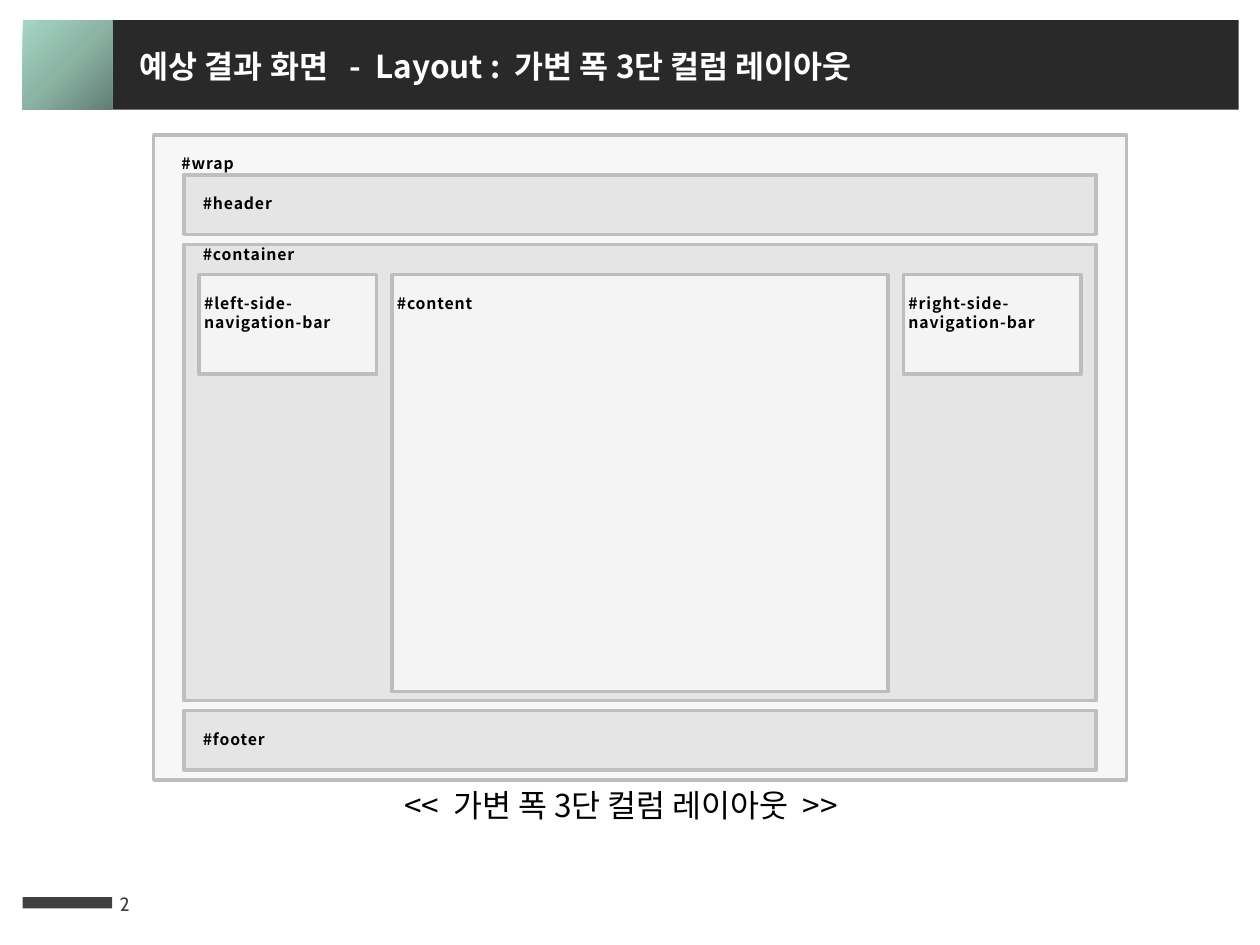
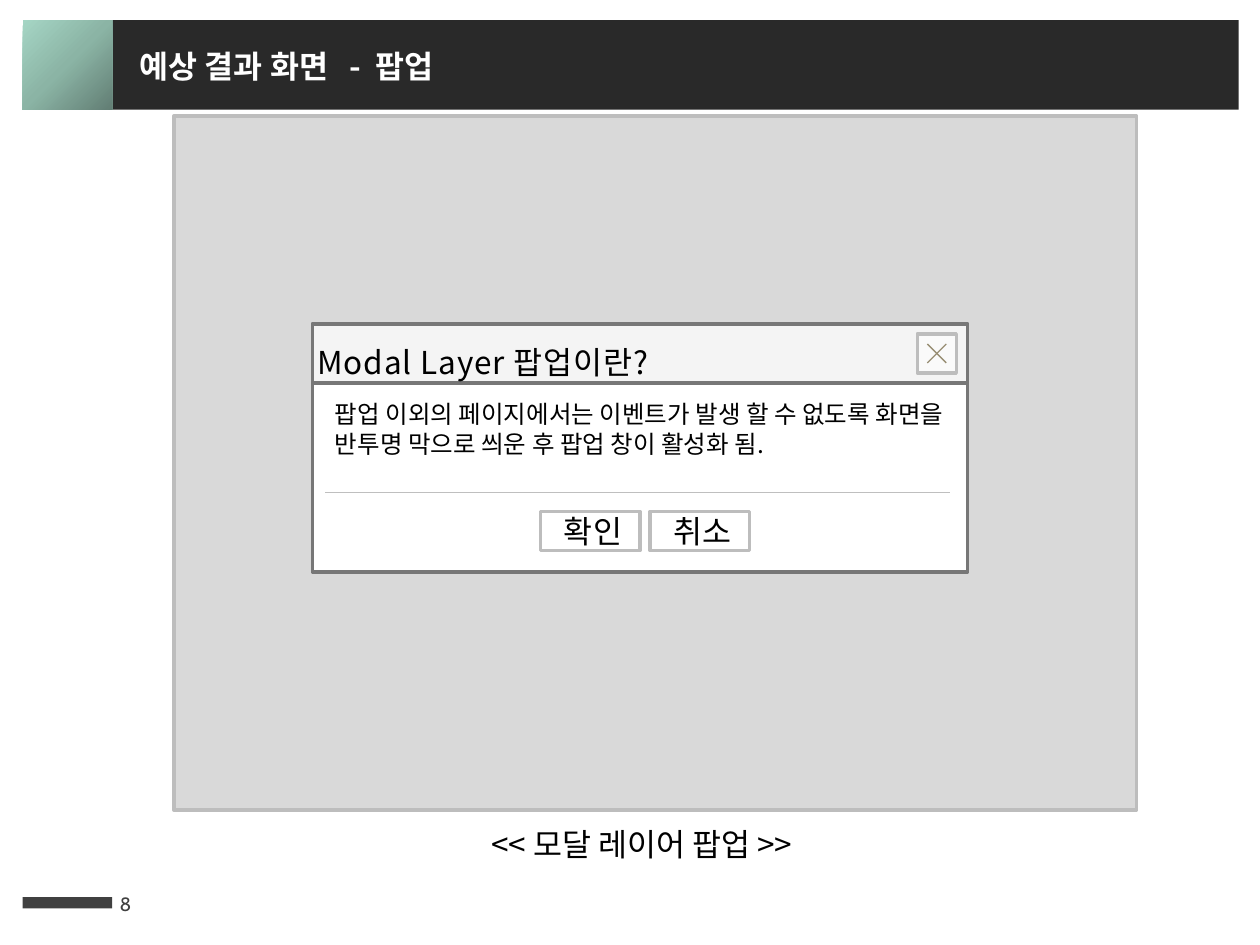
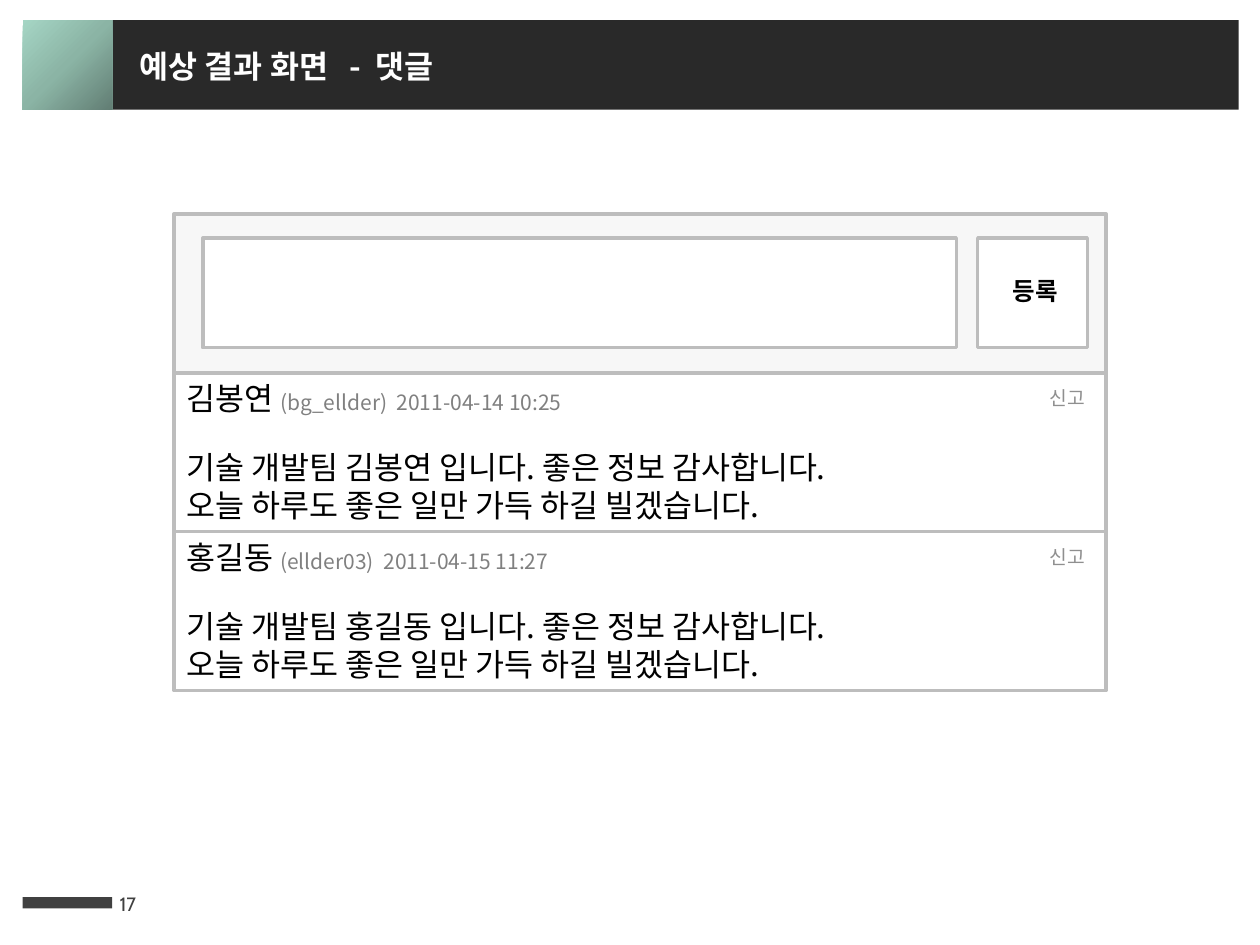
from pptx import Presentation
from pptx import util as u
from pptx.dml import color
from pptx.enum import shapes, text
from pptx.oxml import ns, parse_xml

KO, LATIN = "Noto Sans CJK KR", "Cabin"
C = {
    "band": "292929", "footer": "404040", "white": "FFFFFF", "black": "000000",
    "line": "BDBDBD", "block_line": "BFBFBF", "dialog_line": "777777",
    "cross": "988E74", "panel": "F7F7F7", "block": "E5E5E5", "overlay": "D9D9D9",
    "dialog_bar": "F4F4F4", "meta": "808080", "report": "8F8F8F",
    "grad_dark": "627E74", "grad_mid": "8BB4A5", "grad_light": "A5D5C4",
}
CENTER = text.PP_ALIGN.CENTER


def rgb(name):
    return color.RGBColor.from_string(C[name])


def place(x, y, w, h):
    return [u.Inches(v) for v in (x, y, w, h)]


def style(r, size, col="black", bold=False, font=KO, spacing=0):
    r.font.size, r.font.bold, r.font.name = u.Pt(size), bold, font
    r.font.color.rgb = rgb(col)
    rPr = r._r.get_or_add_rPr()
    if spacing:
        rPr.set("spc", str(int(spacing * 100)))
    ea = rPr.makeelement(ns.qn("a:ea"), {"typeface": font})
    rPr.find(ns.qn("a:latin")).addnext(ea)


def write(tf, content, size, align=None, **look):
    tf.text = content
    tf.word_wrap = True
    for p in tf.paragraphs:
        p.alignment = align
        for r in p.runs:
            style(r, size, **look)


def label(s, box, content, size, anchor=text.MSO_ANCHOR.TOP, **look):
    tf = s.shapes.add_textbox(*place(*box)).text_frame
    write(tf, content, size, **look)
    tf.vertical_anchor = anchor
    return tf


def rect(s, box, fill, line=None, alpha=None):
    sp = s.shapes.add_shape(shapes.MSO_SHAPE.RECTANGLE, *place(*box))
    sp.shadow.inherit = False
    sp.fill.solid()
    sp.fill.fore_color.rgb = rgb(fill)
    if alpha:
        clr = sp._element.spPr.find(ns.qn("a:solidFill"))[0]
        clr.append(clr.makeelement(ns.qn("a:alpha"), {"val": str(alpha * 1000)}))
    if line:
        sp.line.color.rgb = rgb(line)
        sp.line.width = u.Pt(2)
    else:
        sp.line.fill.background()
    return sp


def block(s, box, content, fill="white", line="line", alpha=None, size=9,
          bold=True, align=None, indent=0.04, top=0):
    """Outlined box with its caption inside."""
    sp = rect(s, box, fill, line, alpha)
    tf = sp.text_frame
    write(tf, content, size, align, bold=bold, spacing=0.5)
    tf.vertical_anchor = text.MSO_ANCHOR.TOP
    tf.margin_left, tf.margin_top = u.Inches(indent), u.Inches(top)
    tf.margin_right = tf.margin_bottom = 0
    if align is None:
        for p in tf.paragraphs:
            p.alignment = text.PP_ALIGN.LEFT
    return tf


def rule(s, x1, y1, x2, y2, col):
    ln = s.shapes.add_connector(shapes.MSO_CONNECTOR.STRAIGHT, *place(x1, y1, x2, y2))
    ln.line.color.rgb = rgb(col)
    ln.line.width = u.Pt(0.75)
    spPr = ln._element.spPr
    spPr.append(spPr.makeelement(ns.qn("a:effectLst"), {}))


# Shared frame: title band, gradient square and footer bar live on the layout
def build_frame(s):
    band = rect(s, (0.89, 0.16, 8.94, 0.71), "band")
    square = rect(s, (0.18, 0.16, 0.71, 0.71), "grad_mid")
    footer = rect(s, (0.18, 7.12, 0.71, 0.09), "footer")
    stops = "".join(
        f'<a:gs pos="{pos * 1000}"><a:srgbClr val="{C[name]}"/></a:gs>'
        for pos, name in ((0, "grad_dark"), (50, "grad_mid"), (100, "grad_light")))
    spPr = square._element.spPr
    spPr.replace(spPr.find(ns.qn("a:solidFill")), parse_xml(
        f'<a:gradFill {ns.nsdecls("a")}><a:gsLst>{stops}</a:gsLst><a:path path="circle">'
        '<a:fillToRect l="100000" t="100000"/></a:path></a:gradFill>'))
    for sp in (band, square, footer):
        s.slide_layout.shapes._spTree.append(sp._element)


def new_slide(prs, title, number):
    s = prs.slides.add_slide(prs.slide_layouts[5])
    sp = s.shapes.title
    sp.left, sp.top, sp.width, sp.height = place(1.01, 0.32, 6.99, 0.4)
    write(sp.text_frame, title, 18, text.PP_ALIGN.LEFT, col="white", bold=True)
    sp.text_frame.vertical_anchor = text.MSO_ANCHOR.TOP
    sp.text_frame.auto_size = text.MSO_AUTO_SIZE.NONE
    label(s, (0.85, 6.97, 0.59, 0.4), str(number), 11, text.MSO_ANCHOR.MIDDLE,
          col="footer", font=LATIN)
    return s


# Three-column page wireframe
def page_layout(s, x, y, w, h):
    line_h = 0.15
    block(s, (x, y, w, h), "#wrap", "panel", indent=0.22, top=line_h)
    inner_x, inner_w = x + 0.24, w - 0.48
    for name, dy, height, top in (("#header", 0.32, 0.47, line_h),
                                  ("#container", 0.87, 3.62, 0),
                                  ("#footer", 4.57, 0.47, line_h)):
        block(s, (inner_x, y + dy, inner_w, height), name, "block", "block_line",
              indent=0.15, top=top)
    side_w, gap = 1.41, 0.12
    left = inner_x + gap
    content = left + side_w + gap
    content_w = inner_w - 2 * side_w - 4 * gap
    for name, cx, cw, ch in (
            ("#left-side-\nnavigation-bar", left, side_w, 0.79),
            ("#content", content, content_w, 3.31),
            ("#right-side-navigation-bar", content + content_w + gap, side_w, 0.79)):
        block(s, (cx, y + 1.11, cw, ch), name, alpha=60, top=line_h)


# Modal dialog
def dialog(s, x, y, w, h):
    bar_h = 0.47
    rect(s, (x, y + bar_h, w, h - bar_h), "white", "dialog_line")
    label(s, (x + 0.08, y + 0.55, w - 0.16, 0.57),
          "팝업 이외의 페이지에서는 이벤트가 발생 할 수 없도록 "
          "화면을 반투명 막으로 씌운 후 팝업 창이 활성화 됨.", 14)
    tf = block(s, (x, y, w, bar_h), "Modal Layer 팝업이란?", "dialog_bar",
               "dialog_line", size=18, bold=False)
    tf.paragraphs[0].line_spacing = 1.5

    # Close button
    close_x, close_y, side, pad = x + w - 0.4, y + 0.08, 0.31, 0.08
    rect(s, (close_x, close_y, side, side), "white", "line", 60)
    x1, x2 = close_x + pad, close_x + side - pad
    y1, y2 = close_y + pad, close_y + side - pad
    rule(s, x2, y1, x1, y2, "cross")
    rule(s, x1, y1, x2, y2, "cross")

    # Buttons
    for i, (name, alpha) in enumerate((("확인", 60), ("취소", None))):
        block(s, (x + 1.81 + i * 0.87, y + 1.49, 0.79, 0.31), name, alpha=alpha,
              size=18, bold=False, align=CENTER)
    rule(s, x + 0.1, y + 1.34, x + w - 0.14, y + 1.34, "block_line")


# Comment form and one posted comment
def comment_form(s, x, y, w, h):
    field_y, side = y + 0.19, 0.87
    rect(s, (x, y, w, h), "panel", "line")
    rect(s, (x + 0.23, field_y, 5.98, side), "white", "line")
    block(s, (x + w - 1.02, field_y, side, side), "등록", size=14, align=CENTER, top=0.3)


def comment(s, x, y, w, h, name, meta):
    rect(s, (x, y, w, h), "white", "line")
    tf = label(s, (x, y, 5.35, 0.4), name + " ", 18)
    r = tf.paragraphs[0].add_run()
    r.text = meta
    style(r, 12, "meta")
    label(s, (x, y + 0.55, 6.61, 0.71),
          f"기술 개발팀 {name} 입니다. 좋은 정보 감사합니다.\n"
          "오늘 하루도 좋은 일만 가득 하길 빌겠습니다.", 18)
    label(s, (x + w - 0.55, y + 0.06, 0.55, 0.29), "신고", 11, col="report")


def main():
    prs = Presentation()
    prs.slide_width, prs.slide_height = u.Inches(10), u.Inches(7.5)

    s = new_slide(prs, "예상 결과 화면   -  Layout :  가변 폭 3단 컬럼 레이아웃", 2)
    build_frame(s)
    page_layout(s, 1.22, 1.07, 7.72, 5.12)
    label(s, (3.11, 6.19, 4.72, 0.4), "<<  가변 폭 3단 컬럼 레이아웃  >>", 18)

    s = new_slide(prs, "예상 결과 화면   -  팝업", 8)
    rect(s, (1.38, 0.92, 7.64, 5.51), "overlay", "line")
    dialog(s, 2.48, 2.57, 5.2, 1.97)
    label(s, (3.8, 6.5, 2.91, 0.4), "<< 모달 레이어 팝업 >>", 18)

    s = new_slide(prs, "예상 결과 화면   -  댓글", 17)
    x, y, w, h = 1.38, 1.7, 7.4, 1.26
    posts = (("김봉연", "(bg_ellder)  2011-04-14 10:25"),
             ("홍길동", "(ellder03)  2011-04-15 11:27"))
    for i, (name, meta) in enumerate(posts, 1):
        comment(s, x, y + i * h, w, h, name, meta)
    comment_form(s, x, y, w, h)

    prs.save("out.pptx")


if __name__ == "__main__":
    main()
